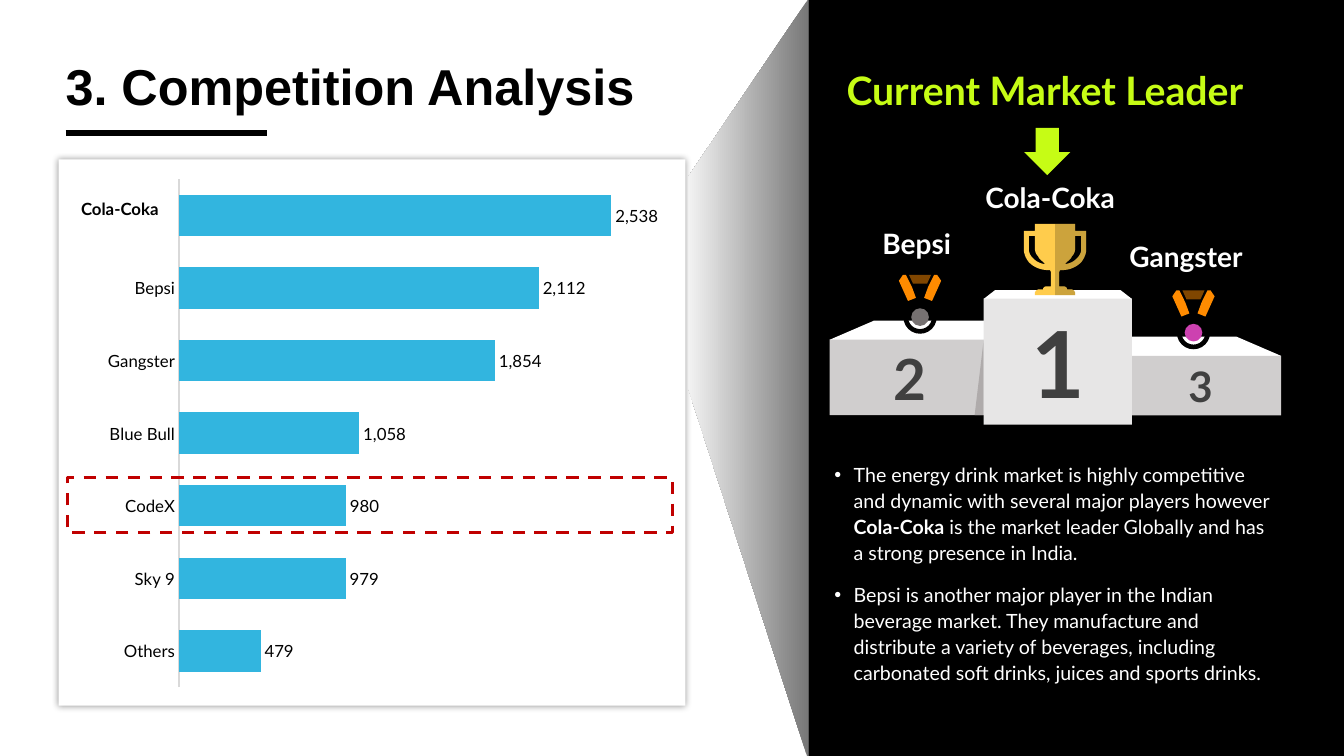
from lxml import etree
from pptx import Presentation
from pptx.chart.data import CategoryChartData
from pptx.dml.color import RGBColor
from pptx.enum import chart as charts, dml, shapes, text
from pptx.oxml import parse_xml
from pptx.oxml.ns import nsdecls, qn
from pptx.util import Pt

HEX = {"black": "000000", "white": "FFFFFF", "lime": "C6FC15", "blue": "32B5DF",
       "red": "C00000", "axis": "D9D9D9", "step": "D0CECE", "first": "E7E6E6",
       "side": "AFABAB", "digit": "404040", "gold": "FFCC4C", "strap": "FF8B00",
       "brown": "804600", "silver": "767171", "pink": "CD41B0",
       "dark": "787878", "pale": "F2F2F2"}
BODY = "Lato"
TITLE = "3. Competition Analysis"
LEADER = "Current Market Leader"
SALES = [("", 2538), ("Bepsi", 2112), ("Gangster", 1854), ("Blue Bull", 1058),
         ("CodeX", 980), ("Sky 9", 979), ("Others", 479)]
POINTS = [
    [("The energy drink market is highly competitive and dynamic with several "
      "major players however ", False), ("Cola-Coka", True),
     (" is the market leader Globally and has a strong presence in India.", False)],
    [("Bepsi is another major player in the Indian beverage market. They "
      "manufacture and distribute a variety of beverages, including carbonated "
      "soft drinks, juices and sports drinks.", False)]]
# words, box, size, colour
LABELS = [("Cola-Coka", (692.6, 125.3, 115.2, 31.7), 20, "white"),
          ("Bepsi", (620.6, 157.7, 68.4, 31.7), 20, "white"),
          ("Gangster", (794.9, 167, 104.4, 31.7), 20, "white"),
          ("Cola-Coka", (48.2, 138.2, 74.9, 21.6), 12, "black")]
# box, top slope
TOPS = [((592.6, 229, 156.2, 13.7), 2.32), ((758.9, 240.5, 156.2, 13.7), 2.32)]
FIRST_TOP = ((702.7, 207.2, 105.8, 6.3), 1.29)
# digit, box, size, colour
STEPS = [("2", (592.6, 242.6, 115.2, 54), 40.5, "step"),
         ("3", (799.9, 254.2, 115.2, 42.5), 30, "step")]
FIRST = ("1", (702.7, 213.3, 105.8, 90), 66, "first")
# centre x, centre y, disc colour
MEDALS = [(657.2, 226.5, "silver"), (852.5, 237.6, "pink")]
STRAP = [(2.9, -13.7), (8.6, -11.5), (15.1, -25.9), (12.2, -30.2), (10.1, -30.2),
         (5.8, -21.6)]
RIBBON = [(-7.9, -30.2), (7.9, -30.2), (5, -23.8), (-5, -23.8)]
# right half of the cup from its axis: two numbers are a corner, six a curve
CUP_AT = (753.6, 159.9)
CUP = [(0, 0), (14.4, 0), (14.4, 5), (22.3, 5), (22.3, 18),
       (22.3, 18.7, 22.3, 23, 18.7, 27.4), (15, 31, 10.8, 33.1, 3.6, 33.1),
       (2.9, 33.8, 2.9, 35.3, 2.9, 36), (2.9, 44.6), (5.8, 44.6),
       (7.2, 44.6, 8.6, 45.4, 8.6, 46.8), (11.5, 46.8),
       (13, 46.8, 14.4, 48.2, 14.4, 49.7), (14.4, 51), (0, 51)]
GRIP = [(14.4, 8.6), (14.4, 17.3), (14.4, 19.4, 13.7, 21.6, 12.2, 23),
        (12.2, 23, 11.5, 24.5, 10.8, 25.2), (9.4, 26.6, 7.9, 27.4, 7.2, 28.8),
        (11.5, 28.1, 13.7, 26.6, 15.8, 24.5),
        (18.7, 21.6, 18.7, 18.7, 18.7, 18.7), (18.7, 8.6)]

deck = Presentation()
deck.slide_width, deck.slide_height = Pt(960), Pt(540)
slide = deck.slides.add_slide(deck.slide_layouts[5])
MARK = shapes.MSO_SHAPE


def rgb(name):
    return RGBColor.from_string(HEX[name])


def paint(item, fill):
    item.shadow.inherit = False
    item.line.fill.background()
    if fill:
        item.fill.solid()
        item.fill.fore_color.rgb = rgb(fill)
    else:
        item.fill.background()
    return item


def shape(kind, box, fill):
    return paint(slide.shapes.add_shape(kind, *map(Pt, box)), fill)


def write(para, words, size, color, bold=True, face=BODY):
    run = para.add_run()
    run.text = words
    font = run.font
    font.name, font.size, font.bold = face, Pt(size), bold
    font.color.rgb = rgb(color)


def textbox(box, wrap):
    frame = slide.shapes.add_textbox(*map(Pt, box)).text_frame
    frame.word_wrap = wrap
    return frame


def bend(path):
    """Turn curves of a path into short straight steps."""
    out = []
    for part in path:
        if len(part) == 2:
            out.append(part)
            continue
        ends = [out[-1], part[:2], part[2:4], part[4:]]
        for i in range(1, 9):
            t = i / 8
            mix = ((1 - t) ** 3, 3 * t * (1 - t) ** 2, 3 * t * t * (1 - t), t ** 3)
            out.append(tuple(sum(m * e[k] for m, e in zip(mix, ends)) for k in (0, 1)))
    return out


def flip(path):
    return [(-x, y) for x, y in reversed(path)]


def outline(paths, at, fill):
    pen = None
    for path in paths:
        spots = [(Pt(at[0] + x), Pt(at[1] + y)) for x, y in path]
        if pen:
            pen.move_to(*spots[0])
        else:
            pen = slide.shapes.build_freeform(*spots[0], scale=1.0)
        pen.add_line_segments(spots[1:], close=True)
    return paint(pen.convert_to_shape(), fill)


def top(box, slope):
    shape(MARK.TRAPEZOID, box, "white").adjustments[0] = slope


def step(digit, box, size, fill):
    frame = shape(MARK.RECTANGLE, box, fill).text_frame
    frame.vertical_anchor = text.MSO_ANCHOR.MIDDLE
    para = frame.paragraphs[0]
    para.alignment = text.PP_ALIGN.CENTER
    write(para, digit, size, "digit")


def medal(x, y, color):
    shape(MARK.OVAL, (x - 6.3, y - 6.3, 12.6, 12.6), color)
    shape(MARK.DONUT, (x - 11.9, y - 11.9, 23.8, 23.8), "black").adjustments[0] = 0.14
    for strap in (STRAP, flip(STRAP)):
        outline([strap], (x, y), "strap")
    outline([RIBBON], (x, y), "brown")


def bars():
    data = CategoryChartData(number_format="#,##0")
    data.categories = [name for name, _ in SALES]
    data.add_series("Series 1", [value for _, value in SALES])
    chart = slide.shapes.add_chart(charts.XL_CHART_TYPE.BAR_CLUSTERED,
                                   *map(Pt, (48.2, 118.8, 465.8, 388.8)), data).chart
    chart.has_legend = chart.has_title = False
    chart.font.name, chart.font.size = BODY, Pt(12)
    chart.font.color.rgb = rgb("black")
    names, scale = chart.category_axis, chart.value_axis
    names.reverse_order = True
    names.format.line.color.rgb = rgb("axis")
    names.format.line.width = Pt(1.5)
    scale.minimum_scale, scale.maximum_scale = 0, 3000
    scale.has_major_gridlines = False
    scale.tick_label_position = charts.XL_TICK_LABEL_POSITION.NONE
    scale.format.line.fill.background()
    for axis in (names, scale):
        axis.major_tick_mark = charts.XL_TICK_MARK.NONE
    plot = chart.plots[0]
    plot.gap_width, plot.vary_by_categories = 75, False
    fill = plot.series[0].format.fill
    fill.solid()
    fill.fore_color.rgb = rgb("blue")
    plot.has_data_labels = True
    tags = plot.data_labels
    tags.show_value = True
    tags.number_format, tags.number_format_is_linked = "#,##0", False
    tags.position = charts.XL_LABEL_POSITION.OUTSIDE_END
    area = chart._chartSpace.chart.plotArea
    for old in area.findall(qn("c:layout")):
        area.remove(old)
    parts = [("layoutTarget", "inner"), ("xMode", "edge"), ("yMode", "edge"),
             ("x", 0.171), ("y", 0.024), ("w", 0.784), ("h", 0.933)]
    inner = "".join(f'<c:{tag} val="{val}"/>' for tag, val in parts)
    area.insert(0, parse_xml(f'<c:layout {nsdecls("c")}><c:manualLayout>{inner}'
                             '</c:manualLayout></c:layout>'))


card = shape(MARK.RECTANGLE, (41.8, 113.8, 447.8, 390.2), "white")
card._element.spPr.find(qn("a:effectLst")).append(parse_xml(
    f'<a:outerShdw {nsdecls("a")} blurRad="{Pt(5)}" dist="0" algn="ctr" rotWithShape="0">'
    '<a:srgbClr val="000000"><a:alpha val="40000"/></a:srgbClr></a:outerShdw>'))

title = slide.shapes.title
title.left, title.top, title.width, title.height = map(Pt, (46.8, 36, 427.7, 51.1))
frame = title.text_frame
frame.word_wrap, frame.auto_size = False, text.MSO_AUTO_SIZE.NONE
frame.vertical_anchor, frame.margin_left = text.MSO_ANCHOR.TOP, 0
frame.paragraphs[0].alignment = text.PP_ALIGN.LEFT
write(frame.paragraphs[0], TITLE, 36, "black", face="Arial")

rule = slide.shapes.add_connector(shapes.MSO_CONNECTOR.STRAIGHT,
                                  *map(Pt, (46.8, 95, 190.8, 95)))
rule.line.color.rgb, rule.line.width = rgb("black"), Pt(4.5)
etree.SubElement(rule._element.spPr, qn("a:effectLst"))
bars()

shape(MARK.RECTANGLE, (577.4, 0, 382.6, 540), "black")
write(textbox((597.6, 43.9, 322.6, 41), True).paragraphs[0], LEADER, 28, "lime")
frame = textbox((589, 325.4, 326.2, 186.5), True)
for i, parts in enumerate(POINTS):
    para = frame.add_paragraph() if i else frame.paragraphs[0]
    props = para._p.get_or_add_pPr()
    props.set("marL", str(Pt(13.7)))
    props.set("indent", str(-Pt(13.7)))
    etree.SubElement(props, qn("a:buFont")).set("typeface", "Arial")
    etree.SubElement(props, qn("a:buChar")).set("char", "•")
    para.line_spacing, para.space_after = 1.1, Pt(6)
    if i:
        para.space_before = Pt(6)
    for words, bold in parts:
        write(para, words, 14, "white", bold)

for box, slope in TOPS:
    top(box, slope)
for item in STEPS:
    step(*item)
top(*FIRST_TOP)
edge = shape(MARK.RIGHT_TRIANGLE, (696.2, 242.6, 6.5, 54), "side")
edge._element.spPr.xfrm.set("flipH", "1")
step(*FIRST)
for item in MEDALS:
    medal(*item)

half, grip = bend(CUP), bend(GRIP)
outline([half + flip(half), grip, flip(grip)], CUP_AT, "gold")
shade = outline([half, grip], CUP_AT, "black")
tint = shade._element.spPr.find(qn("a:solidFill"))[0]
etree.SubElement(tint, qn("a:alpha")).set("val", "20000")

for words, box, size, color in LABELS:
    frame = textbox(box, False)
    frame.vertical_anchor = text.MSO_ANCHOR.MIDDLE
    frame.paragraphs[0].alignment = text.PP_ALIGN.CENTER
    write(frame.paragraphs[0], words, size, color)
shape(MARK.DOWN_ARROW, (731.5, 91.4, 33.1, 33.8), "lime")

beam = outline([[(577.4, -0.7), (577.4, 542.9), (491.8, 277.9), (491.8, 126)]],
               (0, 0), "pale")
beam.fill.gradient()
beam.fill.gradient_angle = 180
for stop, name in zip(beam.fill.gradient_stops, ("dark", "pale")):
    stop.color.rgb = rgb(name)

focus = shape(MARK.RECTANGLE, (48.2, 341.3, 432, 38.9), None)
focus.line.color.rgb, focus.line.width = rgb("red"), Pt(2.25)
focus.line.dash_style = dml.MSO_LINE.DASH

deck.save("out.pptx")
